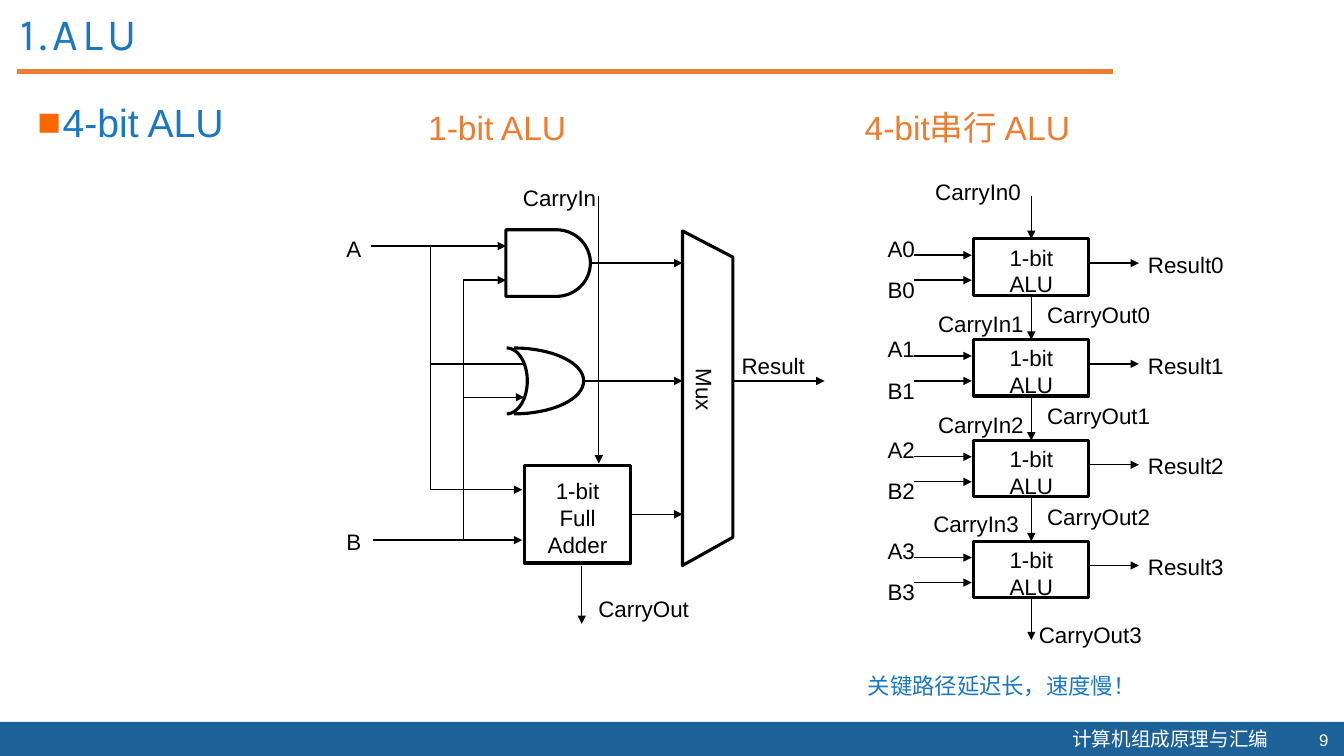
import math
from dataclasses import dataclass

from lxml import etree
from pptx import Presentation
from pptx.dml.color import RGBColor
from pptx.enum.shapes import MSO_CONNECTOR, MSO_SHAPE
from pptx.enum.text import MSO_ANCHOR, PP_ALIGN
from pptx.oxml.ns import qn
from pptx.util import Cm, Pt

STRAIGHT = MSO_CONNECTOR.STRAIGHT
RECTANGLE = MSO_SHAPE.RECTANGLE
TOP, MIDDLE = MSO_ANCHOR.TOP, MSO_ANCHOR.MIDDLE
LEFT, CENTER, RIGHT = PP_ALIGN.LEFT, PP_ALIGN.CENTER, PP_ALIGN.RIGHT
SITE_TOP, SITE_BOTTOM, SITE_RIGHT = 0, 2, 3

BLACK, WHITE, BLUE, NAVY = "000000", "FFFFFF", "1A78C3", "1C6299"
ORANGE, BULLET_ORANGE = "ED7D31", "FF6600"
CJK_FONT = "Noto Sans CJK SC"
THIN, THICK = 1, 2.25
LABEL_HEIGHT = 0.94
BIT_COUNT, BIT_PITCH = 4, 2.54


@dataclass(frozen=True)
class Wire:
    x1: float
    y1: float
    x2: float
    y2: float
    arrow: bool = True


@dataclass(frozen=True)
class Label:
    text: str
    x: float
    y: float
    width: float


@dataclass(frozen=True)
class Arc:
    """Right half of an ellipse."""
    x: float
    y: float
    radius_x: float
    radius_y: float


prs = Presentation()
prs.slide_width, prs.slide_height = Cm(33.87), Cm(19.05)
slide = prs.slides.add_slide(prs.slide_layouts[6])


def color(value: str) -> RGBColor:
    return RGBColor.from_string(value)


def write(frame, text: str, *, size=16, ink=BLACK, font="Arial", align=LEFT, anchor=TOP,
          wrap=True, line_spacing=None, tracking=None, bullet=None) -> None:
    frame.word_wrap = wrap
    frame.vertical_anchor = anchor
    for index, content in enumerate(text.split("\n")):
        paragraph = frame.paragraphs[0] if index == 0 else frame.add_paragraph()
        paragraph.alignment = align
        if line_spacing:
            paragraph.line_spacing = line_spacing
        if bullet:
            props = paragraph._p.get_or_add_pPr()
            props.set("marL", str(Cm(0.64)))
            props.set("indent", str(Cm(-0.64)))
            tint = etree.SubElement(props, qn("a:buClr"))
            etree.SubElement(tint, qn("a:srgbClr"), val=BULLET_ORANGE)
            etree.SubElement(props, qn("a:buFont"), typeface="Arial")
            etree.SubElement(props, qn("a:buChar"), char=bullet)
        run = paragraph.add_run()
        run.text = content
        run.font.size, run.font.name = Pt(size), font
        run.font.color.rgb = color(ink)
        run_props = run._r.get_or_add_rPr()
        etree.SubElement(run_props, qn("a:ea"), typeface=CJK_FONT)
        if tracking:
            run_props.set("spc", str(tracking * 100))


def add_text(text: str, x: float, y: float, width: float, height: float, **style):
    box = slide.shapes.add_textbox(Cm(x), Cm(y), Cm(width), Cm(height))
    write(box.text_frame, text, **style)
    return box


def add_label(label: Label) -> None:
    add_text(label.text, label.x, label.y, label.width, LABEL_HEIGHT, wrap=False)


def add_block(text: str, x: float, y: float, width: float, height: float):
    block = slide.shapes.add_shape(RECTANGLE, Cm(x), Cm(y), Cm(width), Cm(height))
    block.shadow.inherit = False
    block.fill.background()
    block.line.color.rgb, block.line.width = color(BLACK), Pt(THICK)
    frame = block.text_frame
    frame.margin_top, frame.margin_bottom = Cm(0.18), Cm(0)
    write(frame, text, align=CENTER, anchor=MIDDLE)
    return block


def add_wire(wire: Wire, *, ink=BLACK, weight=THIN):
    line = slide.shapes.add_connector(STRAIGHT, Cm(wire.x1), Cm(wire.y1), Cm(wire.x2), Cm(wire.y2))
    line.line.color.rgb, line.line.width = color(ink), Pt(weight)
    if wire.arrow:
        etree.SubElement(line.line._get_or_add_ln(), qn("a:tailEnd"), type="triangle")
    etree.SubElement(line._element.spPr, qn("a:effectLst"))
    return line


def add_outline(points: list[tuple[float, float]], *, close: bool) -> None:
    corners = [(Cm(x), Cm(y)) for x, y in points]
    builder = slide.shapes.build_freeform(*corners[0])
    builder.add_line_segments(corners[1:], close=close)
    outline = builder.convert_to_shape()
    outline.shadow.inherit = False
    outline.fill.background()
    outline.line.color.rgb, outline.line.width = color(BLACK), Pt(THICK)


def arc_points(arc: Arc, steps: int = 32) -> list[tuple[float, float]]:
    angles = [math.pi * (step / steps - 0.5) for step in range(steps + 1)]
    return [(arc.x + arc.radius_x * math.cos(a), arc.y + arc.radius_y * math.sin(a))
            for a in angles]


# Footer bar, title and headings
footer = slide.shapes.add_shape(RECTANGLE, Cm(0), Cm(18.19), Cm(33.87), Cm(0.86))
footer.shadow.inherit = False
footer.fill.solid()
footer.fill.fore_color.rgb = color(NAVY)
footer.line.fill.background()
add_text("计算机组成原理与汇编", 26.77, 18.19, 5.54, 0.86, size=14, ink=WHITE, font=CJK_FONT)
add_wire(Wire(0.43, 1.8, 28.04, 1.8, arrow=False), ink=ORANGE, weight=3)
add_text("9", 32.46, 18.26, 1.27, 0.76, size=12, ink=WHITE, align=RIGHT, anchor=MIDDLE)
add_text("4-bit ALU", 0.69, 2.36, 32.87, 15.42, size=28, ink=BLUE, bullet="■")
add_text("1.ALU", 0.28, 0.18, 27.05, 1.22, size=32, ink=BLUE, font="Karla",
         line_spacing=0.9, tracking=3)
for heading, heading_x in (("1-bit ALU", 10.54), ("4-bit串行 ALU", 21.54)):
    add_text(heading, heading_x, 2.69, 7.5, 1.17, size=24, ink=ORANGE, line_spacing=0.9)

# 1-bit ALU: gates, adder and multiplexer
and_front = Arc(14.02, 6.63, 0.86, 0.84)
or_front = Arc(12.95, 9.6, 1.76, 0.83)
or_back = Arc(12.77, 9.6, 0.52, 0.83)
add_outline([(12.75, 5.79), *arc_points(and_front), (12.75, 7.47)], close=True)
for or_side in (or_front, or_back):
    add_outline(arc_points(or_side), close=False)
adder = add_block("1-bit\nFull\nAdder", 13.21, 11.73, 2.69, 2.46)
add_outline([(17.2, 5.82), (18.47, 6.48), (18.47, 13.54), (17.2, 14.25)], close=True)
mux_label = add_text("Mux", 16.13, 10.19, 3.25, LABEL_HEIGHT)
mux_label.rotation = 90

# 1-bit ALU: wires and labels
A_TRUNK, B_TRUNK, MUX_INPUT = 10.85, 11.68, 17.2
for wire in (
    Wire(9.35, 6.2, 12.75, 6.2),
    Wire(B_TRUNK, 7.06, 12.75, 7.06),
    Wire(14.88, 6.63, MUX_INPUT, 6.63),
    Wire(14.71, 9.6, MUX_INPUT, 9.6),
    Wire(A_TRUNK, 9.17, 13.21, 9.17, arrow=False),
    Wire(B_TRUNK, 10.01, 13.21, 10.01),
    Wire(9.4, 13.61, 13.16, 13.61),
    Wire(B_TRUNK, 7.06, B_TRUNK, 13.61, arrow=False),
    Wire(A_TRUNK, 6.2, A_TRUNK, 12.34, arrow=False),
    Wire(A_TRUNK, 12.34, 13.16, 12.34),
    Wire(15.09, 4.95, 15.09, 11.68),
    Wire(14.66, 14.27, 14.66, 15.72),
    Wire(18.49, 9.6, 20.78, 9.6),
):
    add_wire(wire)
add_wire(Wire(15.9, 12.96, MUX_INPUT, 12.96)).begin_connect(adder, SITE_RIGHT)
for label in (
    Label("A", 8.48, 5.79, 0.89),
    Label("B", 8.48, 13.18, 0.89),
    Label("CarryIn", 12.93, 4.52, 2.39),
    Label("CarryOut", 14.83, 14.88, 2.82),
    Label("Result", 18.44, 8.74, 2.11),
):
    add_label(label)

# 4-bit ripple ALU: one row per bit, linked by the carry
CARRY_X = 25.99
carry_in_places = [(23.32, 4.37), (23.39, 7.7), (23.39, 10.24), (23.27, 12.73)]
previous_alu = None
for bit in range(BIT_COUNT):
    drop = bit * BIT_PITCH
    alu = add_block("1-bit\nALU", 24.54, 6.02 + drop, 2.9, 1.42)
    carry = add_wire(Wire(CARRY_X, 4.95 + drop, CARRY_X, 6.02 + drop))
    carry.end_connect(alu, SITE_TOP)
    if previous_alu:
        carry.begin_connect(previous_alu, SITE_BOTTOM)
    previous_alu = alu
    for x1, x2, y in ((23.04, 24.49, 6.43), (23.04, 24.49, 7.06), (27.48, 28.7, 6.63)):
        add_wire(Wire(x1, y + drop, x2, y + drop))
    carry_out_place = (26.14, 7.47 + drop) if bit < BIT_COUNT - 1 else (25.93, 15.52)
    for label in (
        Label(f"A{bit}", 22.12, 5.79 + drop, 1.19),
        Label(f"B{bit}", 22.12, 6.83 + drop, 1.19),
        Label(f"Result{bit}", 28.68, 6.2 + drop, 2.44),
        Label(f"CarryIn{bit}", *carry_in_places[bit], 2.69),
        Label(f"CarryOut{bit}", *carry_out_place, 3.15),
    ):
        add_label(label)
add_wire(Wire(CARRY_X, 15.06, CARRY_X, 16.13)).begin_connect(previous_alu, SITE_BOTTOM)

# Closing remark
add_text("关键路径延迟长，速度慢！", 21.62, 16.81, 10.29, LABEL_HEIGHT, ink=BLUE)

prs.save("out.pptx")
